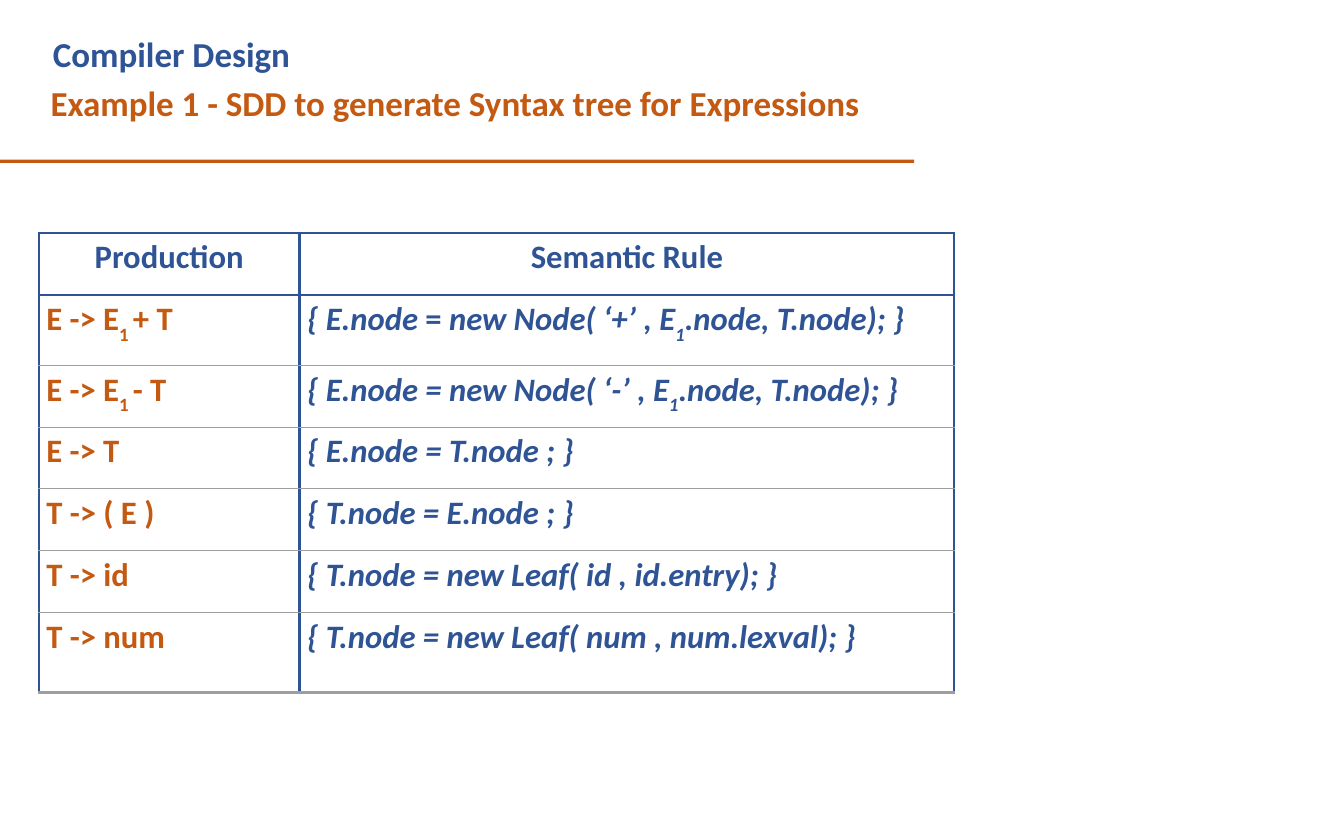
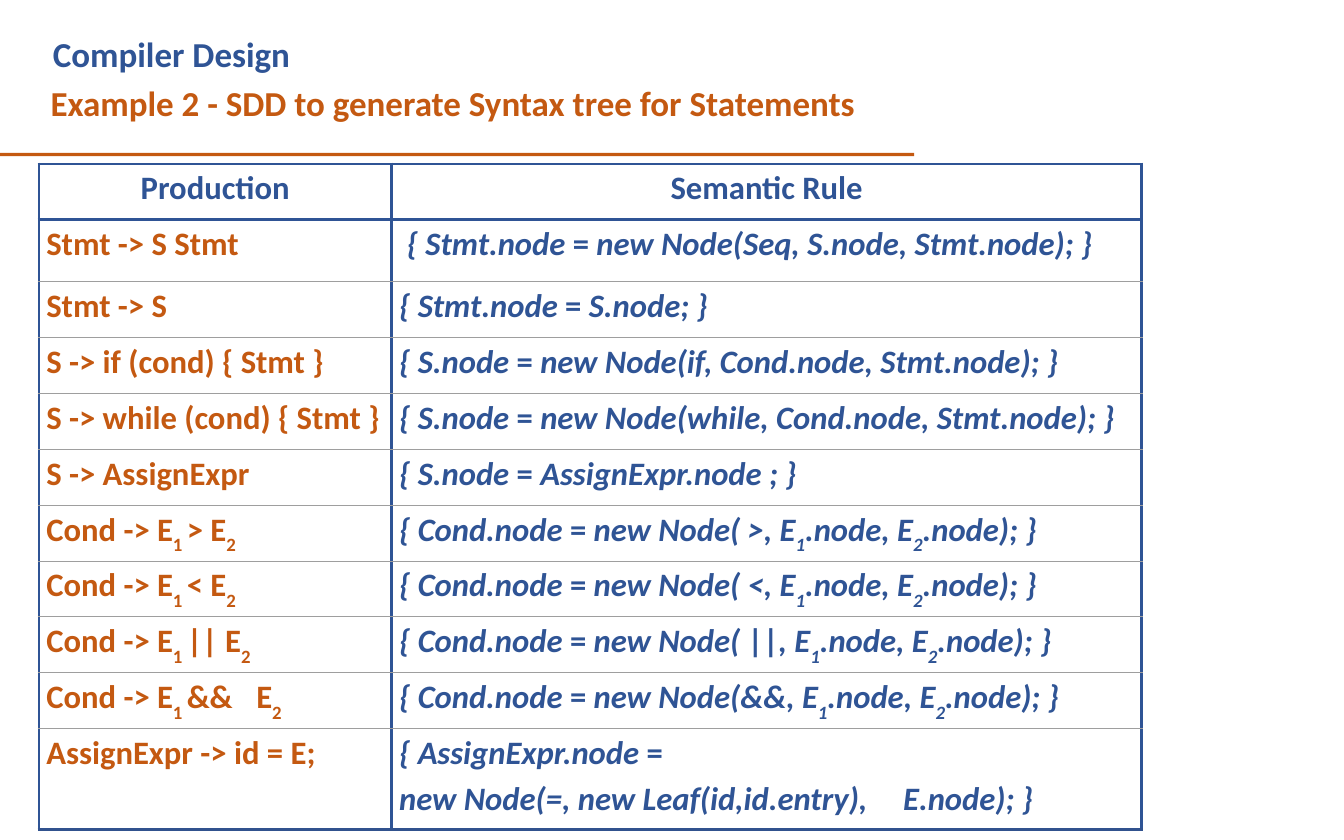
from pptx import Presentation
from pptx.dml.color import RGBColor
from pptx.enum.shapes import MSO_SHAPE
from pptx.enum.text import MSO_ANCHOR, MSO_AUTO_SIZE, PP_ALIGN
from pptx.oxml import parse_xml
from pptx.oxml.ns import nsdecls
from pptx.util import Cm, Pt

COLORS = {"blue": "2F5495", "orange": "C45911", "grey": "9E9E9E", "navy": "31528E"}
FONT = "Calibri"
CELL_INDENT = 0.23
TAB_STOPS = (6.35, 15.24)  # one per table column

# In cell text, ~ encloses a subscript and ^ encloses upright text.
# A third item in a row is the indent of its rule.
SLIDES = [
    dict(
        title="Example 1 - SDD to generate Syntax tree for Expressions",
        rule_top=4.83, table_top=7.04, widths=(7.89, 19.79),
        heights=(1.87, 2.13, 1.87, 1.87, 1.87, 1.87, 2.42), last_line="grey",
        rows=[
            ("E -> E~1 ~+ T", "{ E.node ^= ^new Node( ‘+’ , E~1~.node, T.node); }"),
            ("E -> E~1 ~- T", "{ E.node = new Node( ‘-’ , E~1~.node, T.node); }"),
            ("E -> T", "{ E.node = T.node ; }"),
            ("T -> ( E )", "{ T.node = E.node ; }"),
            ("T -> id", "{ T.node = new Leaf( id , id.entry); }"),
            ("T -> num", "{ T.node = new Leaf( num , num.lexval); }"),
        ],
    ),
    dict(
        title="Example 2 - SDD to generate Syntax tree for Statements",
        rule_top=4.62, table_top=4.95, widths=(10.67, 22.68),
        heights=(1.69, 1.87) + (1.69,) * 8 + (3.05,), last_line="navy",
        rows=[
            ("Stmt -> S Stmt", "{ Stmt.node ^= ^new Node(Seq, S.node, Stmt.node); }", 0.46),
            ("Stmt -> S", "{ Stmt.node ^= ^S.node; }"),
            ("S -> if (cond) { Stmt }",
             "{ S.node ^= ^new Node(if, Cond.node, Stmt.node); }"),
            ("S -> while (cond) { Stmt }",
             "{ S.node ^= ^new Node(while, Cond.node, Stmt.node); }"),
            ("S -> AssignExpr", "{ S.node ^= ^AssignExpr.node ; }"),
            ("Cond -> E~1 ~> E~2~",
             "{ Cond.node ^= ^new Node( >, E~1~.node, E~2~.node); }"),
            ("Cond -> E~1 ~< E~2~",
             "{ Cond.node ^= ^new Node( <, E~1~.node, E~2~.node); }"),
            ("Cond -> E~1 ~|| E~2~",
             "{ Cond.node ^= ^new Node( ^||^, E~1~.node, E~2~.node); }"),
            ("Cond -> E~1 ~&&\tE~2~",
             "{ Cond.node ^= ^new Node(&&, E~1~.node, E~2~.node); }"),
            ("AssignExpr -> id = E;",
             "{ AssignExpr.node ^=^\nnew Node(=, new Leaf(id,id.entry),\tE.node); }"),
        ],
    ),
]


def write(tf, text, size=28, color="blue", italic=False, align=PP_ALIGN.LEFT,
          indent=0, before=0, tab=None):
    """Add one paragraph, reusing the first one of an empty frame."""
    p = tf.add_paragraph() if tf.text else tf.paragraphs[0]
    p.alignment = align
    p.space_before = Pt(before)
    pPr = p._p.get_or_add_pPr()
    pPr.set("marL", str(Cm(indent)))
    pPr.set("indent", "0")
    if tab and "\t" in text:
        pPr.append(parse_xml(f'<a:tabLst {nsdecls("a")}>'
                             f'<a:tab pos="{Cm(tab)}" algn="l"/></a:tabLst>'))
    for i, part in enumerate(text.split("~")):
        for j, piece in enumerate(part.split("^")):
            if not piece:
                continue
            r = p.add_run()
            r.text = piece
            r.font.name = FONT
            r.font.size = Pt(size)
            r.font.bold = True
            r.font.italic = italic and j % 2 == 0
            r.font.color.rgb = RGBColor.from_string(COLORS[color])
            if i % 2:
                r.font.size = Pt(27.8)
                r._r.get_or_add_rPr().set("baseline", "-32000")


def set_borders(cell, top, bottom):
    """Blue sides; top and bottom are (colour, points)."""
    side = ("blue", 2.25)
    for tag, (color, width) in zip(("lnL", "lnR", "lnT", "lnB"), (side, side, top, bottom)):
        cell._tc.get_or_add_tcPr().append(parse_xml(
            f'<a:{tag} {nsdecls("a")} w="{Pt(width)}"><a:solidFill>'
            f'<a:srgbClr val="{COLORS[color]}"/></a:solidFill></a:{tag}>'))


prs = Presentation()
prs.slide_width, prs.slide_height = Cm(40.64), Cm(25.4)

for content in SLIDES:
    s = prs.slides.add_slide(prs.slide_layouts[5])

    title = s.shapes.title
    title.left, title.top, title.width, title.height = Cm(1.5), Cm(0.74), Cm(24.54), Cm(3.02)
    tf = title.text_frame
    tf.margin_left = tf.margin_right = tf.margin_bottom = 0
    tf.margin_top = Cm(0.25)
    tf.vertical_anchor = MSO_ANCHOR.TOP
    tf.auto_size = MSO_AUTO_SIZE.NONE
    write(tf, "Compiler Design", size=30, indent=0.1)
    write(tf, content["title"], size=30, color="orange", indent=0.03, before=6)

    rule = s.shapes.add_shape(MSO_SHAPE.RECTANGLE, 0, Cm(content["rule_top"]), Cm(27.64), Cm(0.1))
    rule.shadow.inherit = False
    rule.fill.solid()
    rule.fill.fore_color.rgb = RGBColor.from_string(COLORS["orange"])
    rule.line.fill.background()

    widths, heights = content["widths"], content["heights"]
    rows = [("Production", "Semantic Rule")] + content["rows"]
    table = s.shapes.add_table(len(rows), 2, Cm(1.17), Cm(content["table_top"]),
                               Cm(sum(widths)), Cm(sum(heights))).table
    table.first_row = table.horz_banding = False
    for column, width in zip(table.columns, widths):
        column.width = Cm(width)

    top = ("blue", 2.25)
    for i, (production, semantic_rule, *indent) in enumerate(rows):
        table.rows[i].height = Cm(heights[i])
        if i == 0:
            bottom = ("blue", 2.25)
        elif i == len(rows) - 1:
            bottom = (content["last_line"], 2.25)
        else:
            bottom = ("grey", 0.75)
        for j, text in enumerate((production, semantic_rule)):
            cell = table.cell(i, j)
            cell.margin_left = cell.margin_right = cell.margin_bottom = 0
            cell.margin_top = Cm(0.15)
            set_borders(cell, top, bottom)
            cell.fill.background()
            if i == 0:
                write(cell.text_frame, text, align=PP_ALIGN.CENTER)
                continue
            for k, line in enumerate(text.split("\n")):
                write(cell.text_frame, line, color=("orange", "blue")[j], italic=j == 1,
                      indent=indent[0] if j and indent else CELL_INDENT,
                      before=5 if k else 0, tab=TAB_STOPS[j])
        top = bottom

prs.save("out.pptx")
